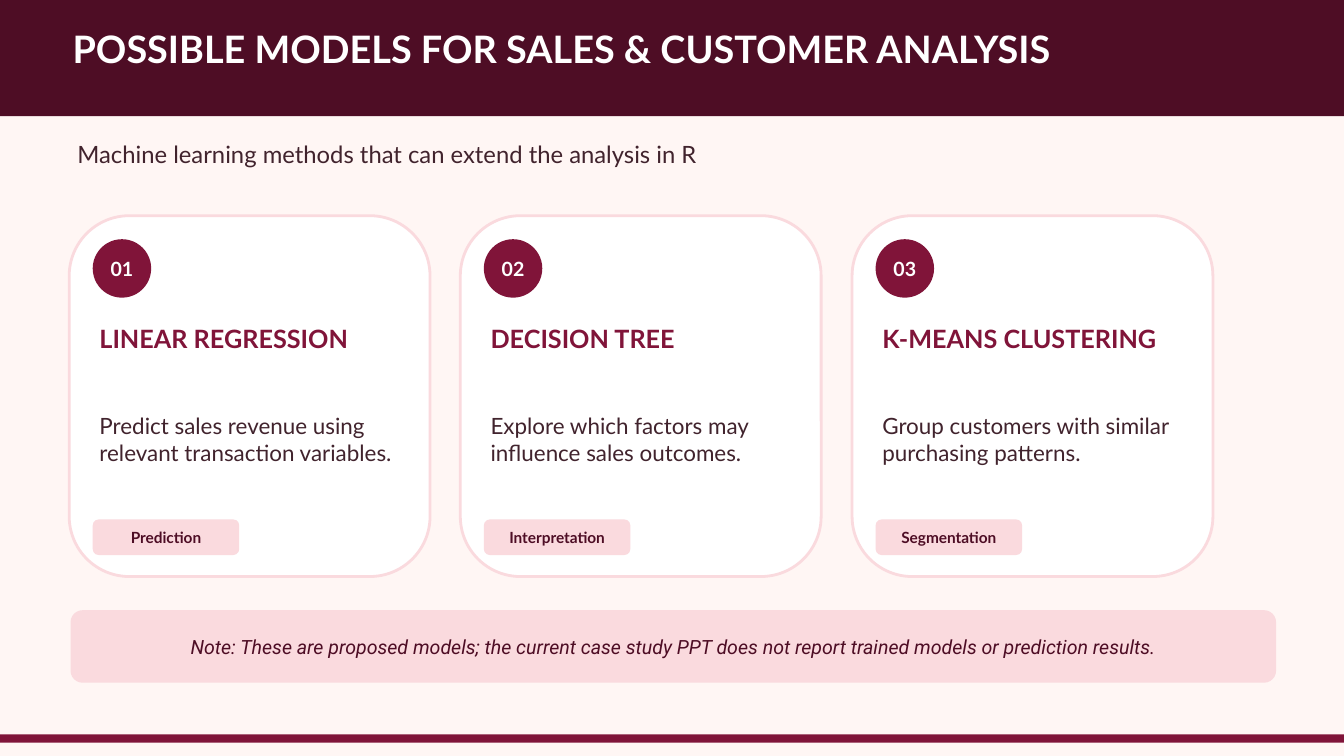
"""Build a slide of three possible models for sales and customer analysis."""
from pptx import Presentation
from pptx.dml.color import RGBColor
from pptx.enum.shapes import MSO_SHAPE
from pptx.enum.text import MSO_ANCHOR, PP_ALIGN
from pptx.util import Pt

PX = 9144
WINE = RGBColor(0x4E, 0x0D, 0x25)
RED = RGBColor(0x80, 0x14, 0x39)
PINK = RGBColor(0xFA, 0xDA, 0xDE)
CREAM = RGBColor(0xFF, 0xF6, 0xF4)
INK = RGBColor(0x41, 0x23, 0x2D)
WHITE = RGBColor(0xFF, 0xFF, 0xFF)

CARDS = [
    ("LINEAR REGRESSION", "Predict sales revenue using relevant transaction variables.", "Prediction"),
    ("DECISION TREE", "Explore which factors may influence sales outcomes.", "Interpretation"),
    ("K-MEANS CLUSTERING", "Group customers with similar purchasing patterns.", "Segmentation"),
]

deck = Presentation()
deck.slide_width = 2000 * PX
deck.slide_height = 1125 * PX
slide = deck.slides.add_slide(deck.slide_layouts[6])
slide.background.fill.solid()
slide.background.fill.fore_color.rgb = CREAM


def add_form(kind, left, top, width, height, color):
    form = slide.shapes.add_shape(kind, left * PX, top * PX, width * PX, height * PX)
    form.shadow.inherit = False
    form.fill.solid()
    form.fill.fore_color.rgb = color
    form.line.fill.background()
    return form


def add_text(text, size, color, box=None, form=None, bold=False, face="Lato"):
    if box:
        form = slide.shapes.add_textbox(*[side * PX for side in box])
    frame = form.text_frame
    frame.text = text
    frame.word_wrap = True
    inset = 0 if box else 6 * PX
    frame.margin_left = frame.margin_right = inset
    frame.margin_top = frame.margin_bottom = inset
    frame.vertical_anchor = MSO_ANCHOR.TOP if box else MSO_ANCHOR.MIDDLE
    line = frame.paragraphs[0]
    line.alignment = PP_ALIGN.LEFT if box else PP_ALIGN.CENTER
    line.line_spacing = Pt(size * 1.2)
    font = line.runs[0].font
    font.name = face
    font.size = Pt(size)
    font.bold = bold
    font.color.rgb = color
    return font


add_form(MSO_SHAPE.RECTANGLE, 0, 0, 2000, 173, WINE)
add_text("POSSIBLE MODELS FOR SALES & CUSTOMER ANALYSIS", 40.5, WHITE, box=(108, 39, 1781, 94), bold=True)
add_text("Machine learning methods that can extend the analysis in R", 25.5, INK, box=(115, 208, 1781, 62))

for index, (title, body, tag) in enumerate(CARDS):
    left = 103 + index * 1165 // 2
    card = add_form(MSO_SHAPE.ROUNDED_RECTANGLE, left, 321, 537, 537, WHITE)
    card.line.color.rgb = PINK
    card.line.width = Pt(3)
    disc = add_form(MSO_SHAPE.OVAL, left + 35, 356, 87, 87, RED)
    add_text(f"{index + 1:02}", 21, WHITE, form=disc, bold=True)
    add_text(title, 27, RED, box=(left + 45, 481, 445, 103), bold=True)
    add_text(body, 24, INK, box=(left + 45, 613, 438, 140))
    badge = add_form(MSO_SHAPE.ROUNDED_RECTANGLE, left + 35, 773, 218, 53, PINK)
    add_text(tag, 16.5, WINE, form=badge, bold=True)

note = add_form(MSO_SHAPE.ROUNDED_RECTANGLE, 105, 908, 1794, 108, PINK)
font = add_text(
    "Note: These are proposed models; the current case study PPT does not report "
    "trained models or prediction results.",
    21, WINE, form=note, face="Roboto",
)
font.italic = True
add_form(MSO_SHAPE.RECTANGLE, 0, 1093, 2000, 12, RED)

deck.save("out.pptx")
